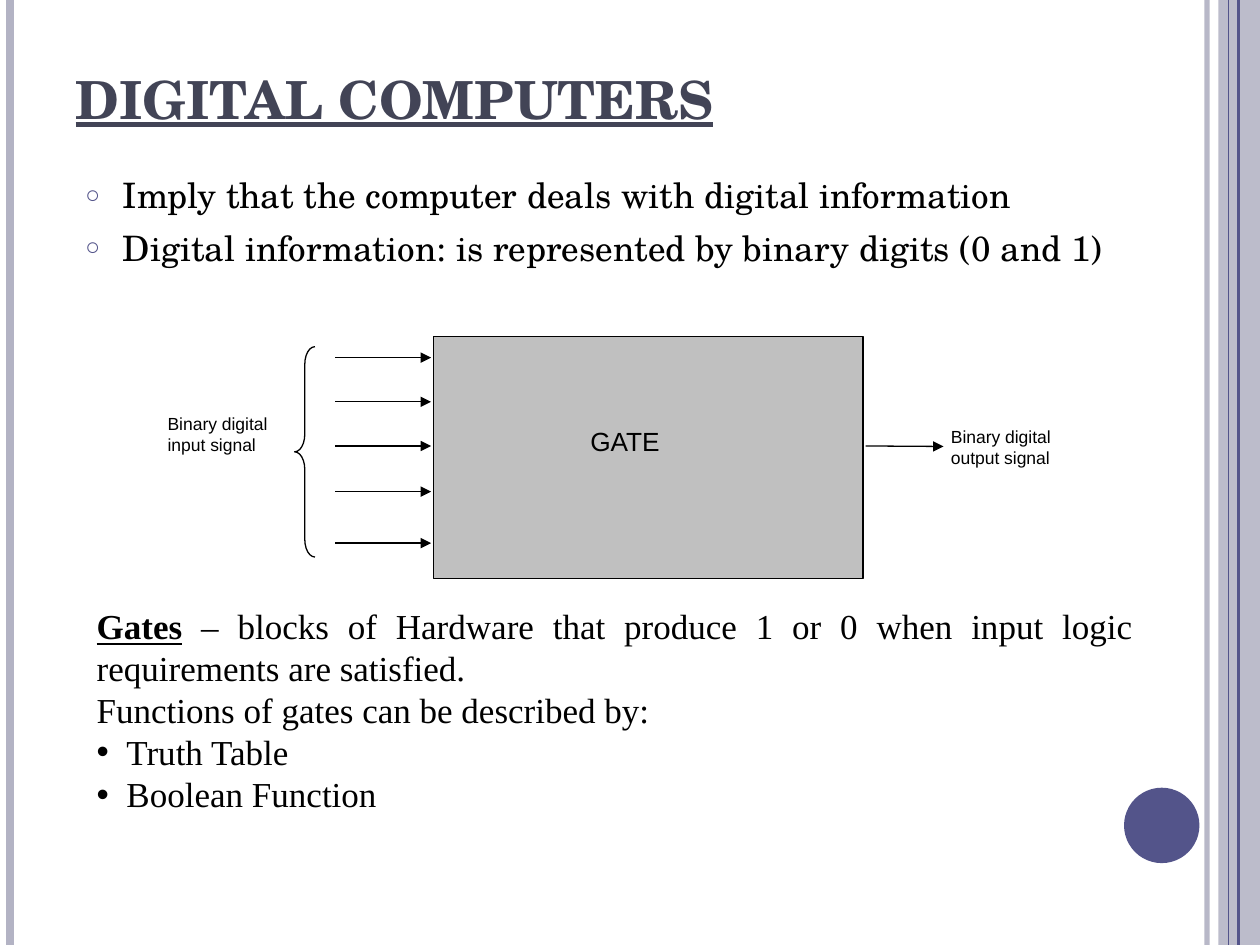
from dataclasses import dataclass

from lxml import etree
from pptx import Presentation
from pptx import util as u
from pptx.dml.color import RGBColor
from pptx.enum import shapes, text
from pptx.oxml import ns

BLACK = RGBColor(0x00, 0x00, 0x00)
GREY = RGBColor(0xC0, 0xC0, 0xC0)
LILAC = RGBColor(0xB3, 0xB3, 0xC4)
INDIGO = RGBColor(0x53, 0x54, 0x8A)
SLATE = RGBColor(0x42, 0x44, 0x56)
SERIF, SANS, ROMAN = "TeX Gyre Schola", "Arial", "Times New Roman"
SLIDE_WIDTH, SLIDE_HEIGHT = 25.4, 19.05
LEFT, CENTER, JUSTIFY = (
    text.PP_ALIGN.LEFT, text.PP_ALIGN.CENTER, text.PP_ALIGN.JUSTIFY)


@dataclass
class Box:
    """A rectangle in centimetres."""
    left: float
    top: float
    width: float
    height: float

    def lengths(self) -> list:
        return [u.Cm(v) for v in (self.left, self.top, self.width, self.height)]


@dataclass
class Line:
    """A straight line in centimetres, with its width in points."""
    x1: float
    y1: float
    x2: float
    y2: float
    color: RGBColor = BLACK
    width: float = 0.75
    opacity: int = 100
    arrow: bool = False


@dataclass
class Label:
    words: str
    box: Box
    size: int
    align: text.PP_ALIGN


@dataclass
class Bullet:
    character: str
    color: RGBColor
    percent: int
    indent: float


def rail(x: float, color: RGBColor, width: float, opacity: int = 100) -> Line:
    """A line down the full height of the slide."""
    return Line(x, 0, x, SLIDE_HEIGHT, color, width, opacity)


RAILS = [rail(24.33, LILAC, 3, 93), rail(0.2, LILAC, 4.5),
         rail(24.97, INDIGO, 1.5), rail(24.77, INDIGO, 0.75)]
ARROWS = [Line(6.76, y, 8.69, y, arrow=True)
          for y in (7.21, 8.1, 8.99, 9.91, 10.95)]
ARROWS.append(Line(17.45, 8.99, 19.02, 9, arrow=True))
LABELS = [
    Label("GATE", Box(10.11, 8.48, 4.98, 0.84), 15, CENTER),
    Label("Binary digital input signal", Box(3.18, 8.23, 3.25, 1.07), 10, LEFT),
    Label("Binary digital output signal", Box(18.97, 8.48, 3.25, 1.07), 10, LEFT),
]
RING = Bullet("○", INDIGO, 70, 0.76)
DOT = Bullet("•", BLACK, 100, 0.6)


def add_child(parent, tag: str, **attributes):
    child = etree.SubElement(parent, ns.qn(tag))
    for name, value in attributes.items():
        child.set(name, str(value))
    return child


def set_opacity(properties, percent: int) -> None:
    color = next(properties.iter(ns.qn("a:srgbClr")))
    add_child(color, "a:alpha", val=percent * 1000)


def draw_line(slide, line: Line) -> None:
    connector = slide.shapes.add_connector(
        shapes.MSO_CONNECTOR.STRAIGHT,
        *(u.Cm(v) for v in (line.x1, line.y1, line.x2, line.y2)))
    connector.line.color.rgb = line.color
    connector.line.width = u.Pt(line.width)
    properties = connector._element.spPr
    if line.opacity < 100:
        set_opacity(properties, line.opacity)
    if line.arrow:
        add_child(connector.line._get_or_add_ln(), "a:tailEnd", type="triangle")
    add_child(properties, "a:effectLst")


def draw_shape(slide, kind, box: Box, fill: RGBColor = None, outline: RGBColor = None):
    shape = slide.shapes.add_shape(kind, *box.lengths())
    shape.shadow.inherit = False
    if fill is None:
        shape.fill.background()
    else:
        shape.fill.solid()
        shape.fill.fore_color.rgb = fill
    if outline is None:
        shape.line.fill.background()
    else:
        shape.line.color.rgb = outline
        shape.line.width = u.Pt(0.75)
    return shape


def add_text_frame(slide, box: Box, **settings):
    frame = slide.shapes.add_textbox(*box.lengths()).text_frame
    frame.word_wrap = True
    for name, value in settings.items():
        setattr(frame, name, value)
    return frame


def add_run(paragraph, words: str, color: RGBColor = BLACK, **settings) -> None:
    run = paragraph.add_run()
    run.text = words
    run.font.color.rgb = color
    for name, value in settings.items():
        setattr(run.font, name, value)


def next_paragraph(frame):
    """Return the still empty first paragraph, or a new one."""
    first = frame.paragraphs[0]
    return frame.add_paragraph() if first.runs else first


def set_bullet(paragraph, bullet: Bullet) -> None:
    properties = paragraph._p.get_or_add_pPr()
    properties.set("marL", str(u.Cm(bullet.indent)))
    properties.set("indent", str(-u.Cm(bullet.indent)))
    add_child(add_child(properties, "a:buClr"), "a:srgbClr", val=bullet.color)
    add_child(properties, "a:buSzPct", val=bullet.percent * 1000)
    add_child(properties, "a:buFont", typeface=SANS)
    add_child(properties, "a:buChar", char=bullet.character)


def draw_frame(slide) -> None:
    """Draw the edge band, the rails and the disc."""
    band = draw_shape(slide, shapes.MSO_SHAPE.RECTANGLE,
                      Box(24.56, 0, SLIDE_WIDTH - 24.56, SLIDE_HEIGHT), LILAC)
    set_opacity(band._element.spPr, 87)
    for line in RAILS:
        draw_line(slide, line)
    draw_shape(slide, shapes.MSO_SHAPE.OVAL, Box(22.66, 15.88, 1.52, 1.52), INDIGO)


def write_title(slide) -> None:
    title = slide.shapes.title
    title.left, title.top, title.width, title.height = Box(
        1.27, 0.76, 20.75, 1.98).lengths()
    title.text_frame.vertical_anchor = text.MSO_ANCHOR.BOTTOM
    paragraph = title.text_frame.paragraphs[0]
    paragraph.alignment = LEFT
    add_run(paragraph, "DIGITAL COMPUTERS", SLATE, name=SERIF, size=u.Pt(30),
            bold=True, underline=True)


def write_points(slide) -> None:
    frame = add_text_frame(slide, Box(1.47, 3.38, 21.59, 14.6))
    for words in ("Imply that the computer deals with digital information",
                  "Digital information: is represented by binary digits (0 and 1)"):
        paragraph = next_paragraph(frame)
        paragraph.space_before = u.Pt(6)
        set_bullet(paragraph, RING)
        add_run(paragraph, words, name=SERIF, size=u.Pt(20))


def draw_gate(slide) -> None:
    draw_shape(slide, shapes.MSO_SHAPE.RECTANGLE,
               Box(8.74, 6.78, 8.66, 4.88), GREY, BLACK)
    insets = dict(margin_left=u.Cm(0.2), margin_right=u.Cm(0.2),
                  margin_top=u.Cm(0.1), margin_bottom=u.Cm(0.1))
    for label in LABELS:
        paragraph = add_text_frame(slide, label.box, **insets).paragraphs[0]
        paragraph.alignment = label.align
        add_run(paragraph, label.words, name=SANS, size=u.Pt(label.size))
    for line in ARROWS:
        draw_line(slide, line)
    brace = draw_shape(slide, shapes.MSO_SHAPE.LEFT_BRACE,
                       Box(5.94, 6.99, 0.41, 4.24), outline=BLACK)
    brace.adjustments[0] = 0.87


def write_definition(slide) -> None:
    frame = add_text_frame(slide, Box(1.7, 12.07, 21.39, 4.5))
    font = dict(name=ROMAN, size=u.Pt(20))
    paragraph = next_paragraph(frame)
    paragraph.alignment = JUSTIFY
    add_run(paragraph, "Gates", bold=True, underline=True, **font)
    add_run(paragraph, " – blocks of Hardware that produce 1 or 0 when input "
            "logic requirements are satisfied.", **font)
    for words, bullet in (("Functions of gates can be described by:", None),
                          ("Truth Table", DOT), ("Boolean Function", DOT)):
        paragraph = next_paragraph(frame)
        paragraph.alignment = JUSTIFY
        if bullet:
            set_bullet(paragraph, bullet)
        add_run(paragraph, words, **font)


def main() -> None:
    presentation = Presentation()
    presentation.slide_width = u.Cm(SLIDE_WIDTH)
    presentation.slide_height = u.Cm(SLIDE_HEIGHT)
    slide = presentation.slides.add_slide(presentation.slide_layouts[5])
    for draw in (draw_frame, write_title, write_points, draw_gate, write_definition):
        draw(slide)
    presentation.save("out.pptx")


if __name__ == "__main__":
    main()
